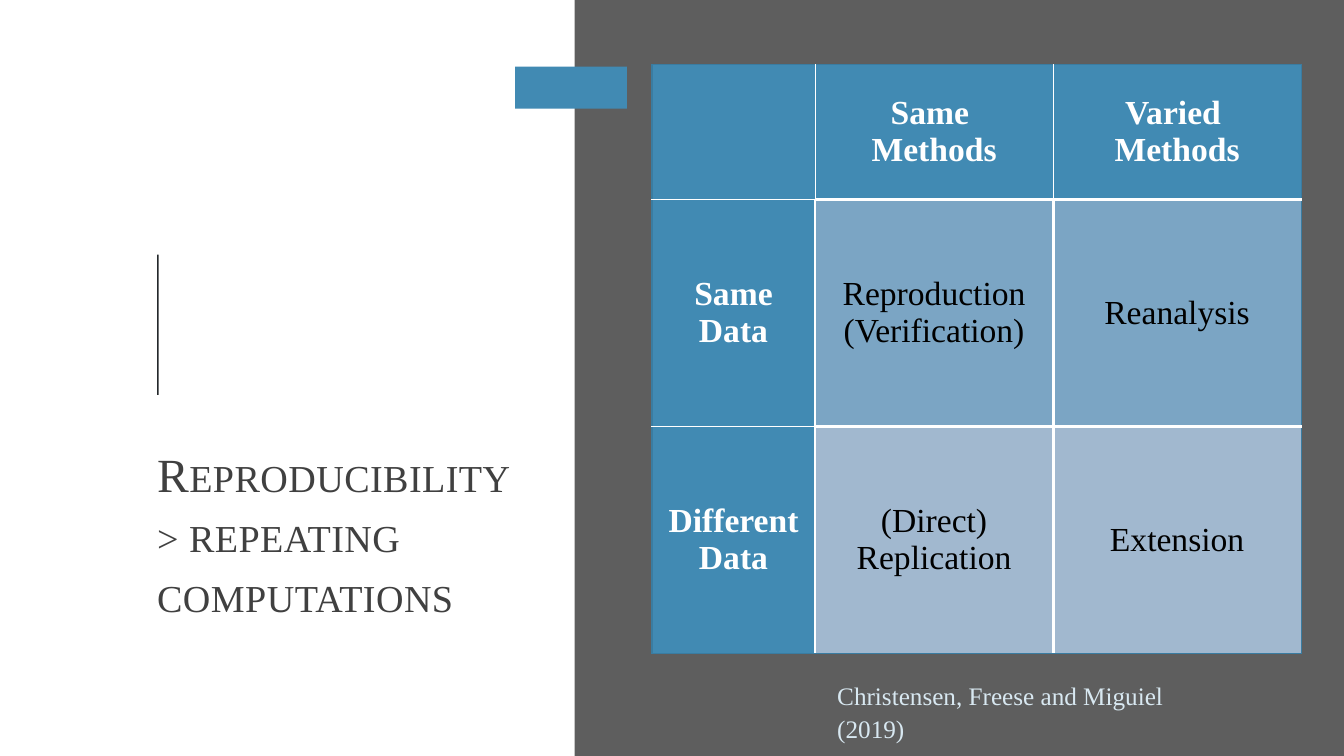
from pptx import Presentation
from pptx.dml.color import RGBColor
from pptx.enum import shapes, text
from pptx.oxml import parse_xml
from pptx.oxml.ns import nsdecls
from pptx.util import Cm, Pt

# Content
TITLE = "Reproducibility \v> repeating computations"
CREDIT = "Christensen, Freese and Miguiel (2019)"
GRID = [
    ["", "Same \vMethods", "Varied \vMethods"],
    ["Same\vData", "Reproduction (Verification)", "Reanalysis"],
    ["Different\vData", "(Direct) Replication", "Extension"],
]

# Theme
THEME = {
    "font": "Times New Roman",
    "panel": "5E5E5E", "rule": "24282B", "accent": "418AB3",
    "edge": "3A7CA1", "white": "FFFFFF", "black": "000000",
    "ink": "404040", "pale": "D8E8F1",
    "rows": ["418AB3", "7BA5C4", "A1B8CF"],
    "title": 34, "cell": 24, "credit": 18,
}

# Places in cm: left, top, width, height
SIZE = (33.87, 19.05)
BARS = [
    ("panel", (14.48, 0, 19.39, 19.05)),
    ("rule", (3.96, 6.42, 0.04, 3.53)),
    ("accent", (12.98, 1.68, 2.82, 1.06)),
]
HEAD = (3.96, 11.2, 10.16, 4.47)
NOTE = (20.85, 16.97, 10.16, 1.02)
SPOT = (16.43, 1.63)
COLS = [4.11, 6.0, 6.25]
ROWS = [3.39, 5.72, 5.72]
THIN, EDGE, THICK = 0.5, 1, 2.25


def box(place):
    return [Cm(n) for n in place]


def put(obj, vals):
    for key, val in vals.items():
        setattr(obj, key, val)


def style(frame, size, color, bold=False, **para):
    for p in frame.paragraphs:
        put(p, para)
        for run in p.runs:
            put(run.font, {"name": THEME["font"], "size": Pt(size), "bold": bold})
            run.font.color.rgb = RGBColor.from_string(THEME[color])


def border(cell, side, color, width):
    cell._tc.get_or_add_tcPr().append(parse_xml(
        f'<a:ln{side} {nsdecls("a")} w="{Pt(width)}"><a:solidFill>'
        f'<a:srgbClr val="{THEME[color]}"/></a:solidFill></a:ln{side}>'))


def edges(r, c):
    """Blue outside, white inside; thin lines between header cells."""
    def down(i):
        if i in (0, len(COLS)):
            return "edge", EDGE
        return "white", THICK if r else THIN

    def across(i):
        if i in (0, len(ROWS)):
            return "edge", EDGE
        return "white", THICK if c else THIN

    return {"L": down(c), "R": down(c + 1), "T": across(r), "B": across(r + 1)}


def main():
    deck = Presentation()
    put(deck, {"slide_width": Cm(SIZE[0]), "slide_height": Cm(SIZE[1])})
    slide = deck.slides.add_slide(deck.slide_layouts[5])

    # Side panel, rule and accent tab
    for color, place in BARS:
        bar = slide.shapes.add_shape(shapes.MSO_SHAPE.RECTANGLE, *box(place))
        bar.shadow.inherit = False
        bar.fill.solid()
        bar.fill.fore_color.rgb = RGBColor.from_string(THEME[color])
        bar.line.fill.background()

    # Title
    head = slide.shapes.title
    put(head, dict(zip(("left", "top", "width", "height"), box(HEAD))))
    frame = head.text_frame
    frame.text = TITLE
    put(frame, {
        "word_wrap": True, "auto_size": text.MSO_AUTO_SIZE.NONE,
        "vertical_anchor": text.MSO_ANCHOR.BOTTOM,
        "margin_left": 0, "margin_right": 0, "margin_top": 0, "margin_bottom": 0,
    })
    style(frame, THEME["title"], "ink",
          alignment=text.PP_ALIGN.LEFT, line_spacing=1.05)
    for run in frame.paragraphs[0].runs:
        props = run._r.get_or_add_rPr()
        props.set("cap", "small")
        props.set("spc", "30")

    # Table
    place = (*SPOT, sum(COLS), sum(ROWS))
    table = slide.shapes.add_table(len(ROWS), len(COLS), *box(place)).table
    for col, wide in zip(table.columns, COLS):
        col.width = Cm(wide)
    for row, tall in zip(table.rows, ROWS):
        row.height = Cm(tall)
    for r, line in enumerate(GRID):
        for c, words in enumerate(line):
            cell = table.cell(r, c)
            lead = r == 0 or c == 0
            for side, (color, width) in edges(r, c).items():
                border(cell, side, color, width)
            cell.fill.solid()
            cell.fill.fore_color.rgb = RGBColor.from_string(
                THEME["accent"] if lead else THEME["rows"][r])
            put(cell, {
                "vertical_anchor": text.MSO_ANCHOR.MIDDLE,
                "margin_left": Cm(0.18), "margin_right": Cm(0.18),
                "margin_top": Cm(0.13), "margin_bottom": Cm(0.13),
            })
            if words:
                cell.text_frame.text = words
                style(cell.text_frame, THEME["cell"], "white" if lead else "black",
                      lead, alignment=text.PP_ALIGN.CENTER)

    # Credit
    frame = slide.shapes.add_textbox(*box(NOTE)).text_frame
    frame.text = CREDIT
    frame.word_wrap = True
    style(frame, THEME["credit"], "pale", line_spacing=1.07)

    deck.save("out.pptx")


if __name__ == "__main__":
    main()
